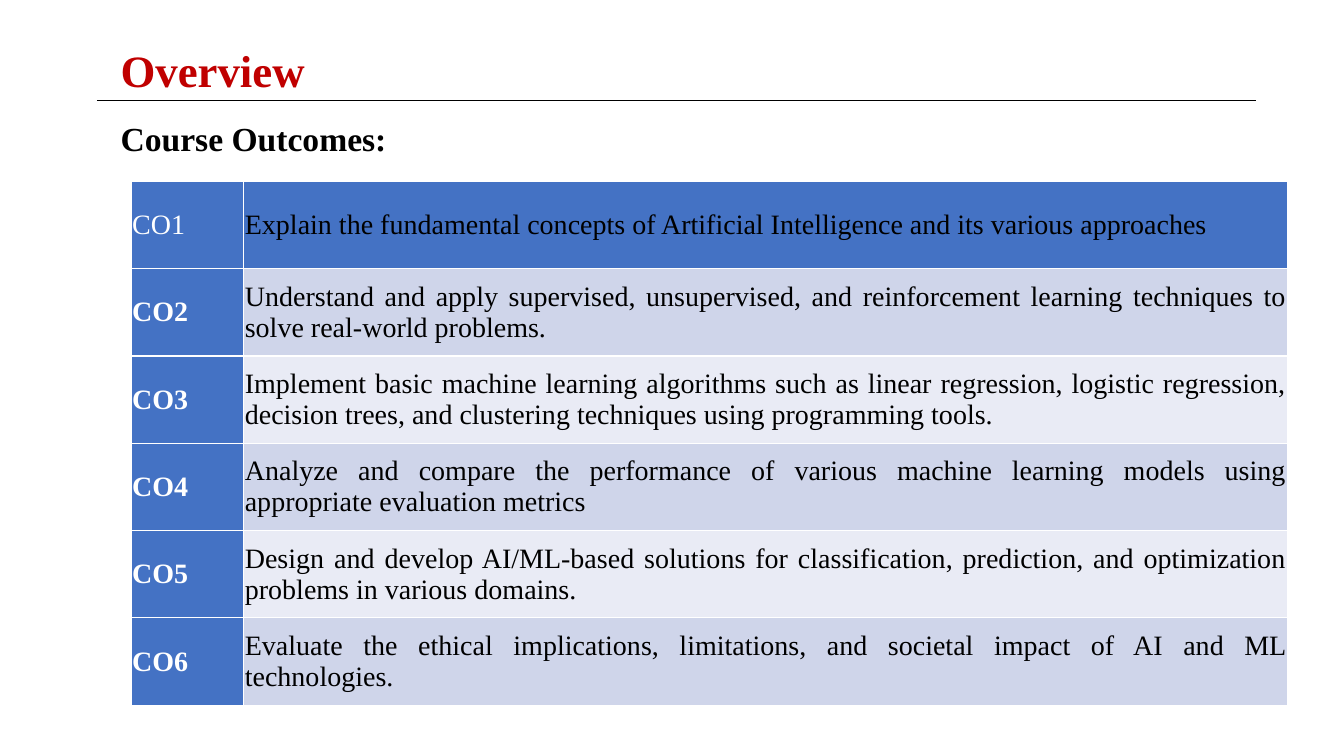
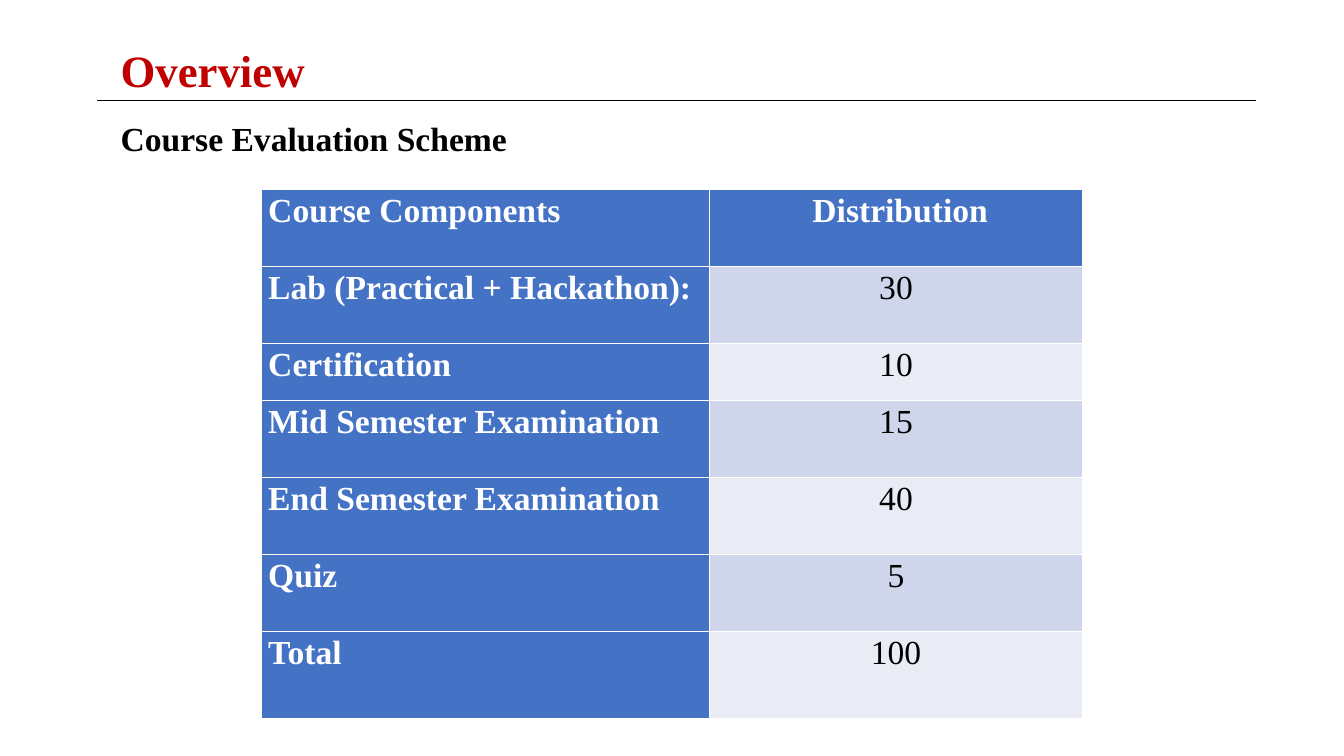
from lxml import etree
from pptx import Presentation
from pptx.dml.color import RGBColor
from pptx.enum import shapes, text
from pptx.oxml import ns
from pptx.util import Cm, Pt

FONT = "Times New Roman"
COLORS = {
    "title": "C00000",
    "ink": "000000",
    "white": "FFFFFF",
    "head": "4472C4",
    "band_dark": "CFD5EA",
    "band_light": "E9EBF5",
}

OUTCOMES = [
    "Explain the fundamental concepts of Artificial Intelligence and its various approaches",
    "Understand and apply supervised, unsupervised, and reinforcement learning techniques "
    "to solve real-world problems.",
    "Implement basic machine learning algorithms such as linear regression, logistic "
    "regression, decision trees, and clustering techniques using programming tools.",
    "Analyze and compare the performance of various machine learning models using "
    "appropriate evaluation metrics",
    "Design and develop AI/ML-based solutions for classification, prediction, and "
    "optimization problems in various domains.",
    "Evaluate the ethical implications, limitations, and societal impact of AI and ML "
    "technologies.",
]
EVALUATION = [
    ("Course Components", " Distribution"),
    ("Lab (Practical + Hackathon):", "30"),
    ("Certification", "10"),
    ("Mid Semester Examination", "15"),
    ("End Semester Examination", "40"),
    ("Quiz", "5"),
    ("Total", "100"),
]


def rgb(name):
    return RGBColor.from_string(COLORS[name])


def write(p, words, size, color, bold):
    p.text = words
    for r in p.runs:
        r.font.name = FONT
        r.font.size = Pt(size)
        r.font.bold = bold
        r.font.color.rgb = rgb(color)


def add_text(slide, box, words, size, color, anchor=text.MSO_ANCHOR.TOP):
    tf = slide.shapes.add_textbox(*map(Cm, box)).text_frame
    tf.word_wrap = True
    tf.vertical_anchor = anchor
    p = tf.paragraphs[0]
    write(p, words, size, color, True)
    return p


def add_rule(slide, left, right, y):
    line = slide.shapes.add_connector(
        shapes.MSO_CONNECTOR.STRAIGHT, Cm(left), Cm(y), Cm(right), Cm(y))
    line.line.color.rgb = rgb("ink")
    line.line.width = Pt(1)
    etree.SubElement(line._element.spPr, ns.qn("a:effectLst"))


def add_overview_slide(prs, subtitle):
    """Add a slide with the shared title, rule and a subtitle."""
    slide = prs.slides.add_slide(prs.slide_layouts[6])
    title = add_text(slide, (2.79, 0, 25.48, 3.68), "Overview", 32, "title",
                     text.MSO_ANCHOR.MIDDLE)
    title.line_spacing = 0.9
    add_rule(slide, 2.44, 31.65, 2.54)
    add_text(slide, (2.79, 2.84, 26.14, 2.06), subtitle, 24, "ink")
    return slide


def add_grid(slide, corner, widths, heights, rows, size, aligns, margins,
             anchor, strong_head, line_spacing=None, space_after=None):
    """Add a banded table; strong_head makes the whole first row bold and white."""
    frame = slide.shapes.add_table(
        len(rows), len(widths), *map(Cm, corner), Cm(sum(widths)), Cm(sum(heights)))
    table = frame.table
    table.first_col = True
    for col, width in zip(table.columns, widths):
        col.width = Cm(width)
    for row, height in zip(table.rows, heights):
        row.height = Cm(height)

    side, top = margins
    for i, row in enumerate(rows):
        band = "band_dark" if i % 2 else "band_light"
        for j, words in enumerate(row):
            cell = table.cell(i, j)
            cell.fill.solid()
            cell.fill.fore_color.rgb = rgb("head" if i == 0 or j == 0 else band)
            cell.margin_left = cell.margin_right = Cm(side)
            cell.margin_top = cell.margin_bottom = Cm(top)
            cell.vertical_anchor = anchor
            lead = j == 0 or (i == 0 and strong_head)
            p = cell.text_frame.paragraphs[0]
            write(p, words, size, "white" if lead else "ink",
                  lead and (i > 0 or strong_head))
            p.alignment = aligns[min(i, 1)][j]
            p.line_spacing = line_spacing
            p.space_after = space_after


def add_outcomes(prs):
    slide = add_overview_slide(prs, "Course Outcomes:")
    rows = [(f"CO{n}", outcome) for n, outcome in enumerate(OUTCOMES, 1)]
    justified = [text.PP_ALIGN.JUSTIFY] * 2
    add_grid(slide, (3.3, 4.57), (2.84, 26.31), [2.2] * len(rows), rows, 20,
             (justified, justified), (0.03, 0.03), text.MSO_ANCHOR.MIDDLE, False)


def add_evaluation(prs):
    slide = add_overview_slide(prs, "Course Evaluation Scheme")
    heights = [1.94] * len(EVALUATION)
    heights[2], heights[-1] = 1.44, 2.19
    aligns = (text.PP_ALIGN.LEFT, text.PP_ALIGN.CENTER)
    add_grid(slide, (6.58, 4.78), (11.3, 9.4), heights, EVALUATION, 24,
             (aligns, aligns), (0.18, 0), text.MSO_ANCHOR.TOP, True, 1.07, Pt(8))


def main():
    prs = Presentation()
    prs.slide_width, prs.slide_height = Cm(33.87), Cm(19.05)
    add_outcomes(prs)
    add_evaluation(prs)
    prs.save("out.pptx")


if __name__ == "__main__":
    main()
